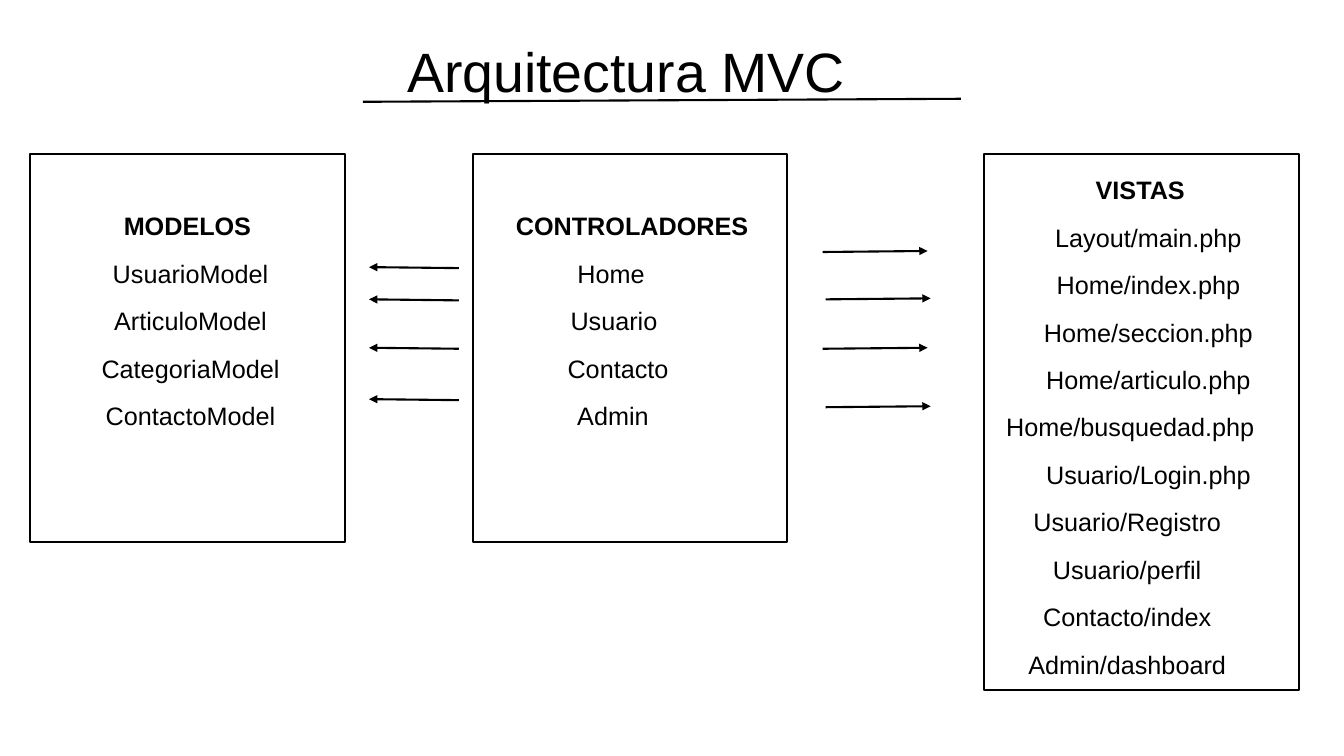
from pptx import Presentation
from pptx.dml.color import RGBColor
from pptx.enum.shapes import MSO_CONNECTOR, MSO_SHAPE
from pptx.enum.text import PP_ALIGN
from pptx.oxml.ns import qn
from pptx.util import Inches, Pt
from lxml.etree import SubElement

# Content: each line is followed by its shift right of the column axis, in inches
TITLE = "Arquitectura MVC"
MODELS = [("MODELOS", 0), ("UsuarioModel", 0.03), ("ArticuloModel", 0.03),
          ("CategoriaModel", 0.03), ("ContactoModel", 0.03)]
CONTROLLERS = [("CONTROLADORES", 0.21), ("Home", 0), ("Usuario", 0.03),
               ("Contacto", 0.07), ("Admin", 0.02)]
VIEWS = [("VISTAS", 0.13), ("Layout/main.php", 0.21), ("Home/index.php", 0.21),
         ("Home/seccion.php", 0.21), ("Home/articulo.php", 0.21),
         ("Home/busquedad.php", 0.03), ("Usuario/Login.php", 0.21),
         ("Usuario/Registro", 0), ("Usuario/perfil", 0),
         ("Contacto/index", 0), ("Admin/dashboard", 0)]

# Layout in inches
WIDTH, HEIGHT = 13.33, 7.5
PANEL_TOP, PANEL_WIDTH, TEXT_WIDTH = 1.53, 3.12, 3.0
# panel left, panel height, text axis, text top, lines
PANELS = [(0.3, 3.85, 1.86, 1.92, MODELS),
          (4.69, 3.85, 6.06, 1.92, CONTROLLERS),
          (9.76, 5.32, 11.18, 1.56, VIEWS)]
# start x, length (negative points left), start y
ARROWS = [(8.16, 1.04, 2.5), (8.19, 1.04, 2.97), (8.16, 1.04, 3.46), (8.19, 1.04, 4.04),
          (4.55, -0.89, 2.66), (4.55, -0.89, 2.98), (4.55, -0.89, 3.46), (4.55, -0.89, 3.97)]
ARROW_RISE = 0.01
INK = "000000"


def color(value):
    return RGBColor.from_string(value)


def style_line(line):
    line.color.rgb = color(INK)
    line.width = Pt(1.5)


def add_line(x1, y1, x2, y2, arrow=False):
    line = slide.shapes.add_connector(MSO_CONNECTOR.STRAIGHT, Inches(x1), Inches(y1),
                                      Inches(x2), Inches(y2))
    style_line(line.line)
    if arrow:
        SubElement(line.line._get_or_add_ln(), qn("a:tailEnd"), type="triangle")
    SubElement(line._element.spPr, qn("a:effectLst"))


def add_text(left, top, width, height):
    frame = slide.shapes.add_textbox(Inches(left), Inches(top),
                                     Inches(width), Inches(height)).text_frame
    frame.word_wrap = True
    frame.margin_left = frame.margin_right = frame.margin_top = frame.margin_bottom = 0
    return frame


def style_font(para, size, bold=False):
    para.font.name = "Arial"
    para.font.size = Pt(size)
    para.font.bold = bold
    para.font.color.rgb = color(INK)


deck = Presentation()
deck.slide_width, deck.slide_height = Inches(WIDTH), Inches(HEIGHT)
slide = deck.slides.add_slide(deck.slide_layouts[6])

# Title and its underline
add_line(3.6, 1.01, 9.53, 0.98)
heading = add_text(4.04, 0.37, 5.5, 0.63).paragraphs[0]
heading.text = TITLE
style_font(heading, 39.6)

# Panels with their lists
for left, height, axis, text_top, lines in PANELS:
    panel = slide.shapes.add_shape(MSO_SHAPE.RECTANGLE, Inches(left), Inches(PANEL_TOP),
                                   Inches(PANEL_WIDTH), Inches(height))
    panel.shadow.inherit = False
    panel.fill.background()
    style_line(panel.line)
    frame = add_text(axis - TEXT_WIDTH / 2, text_top, TEXT_WIDTH, 0.45 * len(lines))
    for index, (text, shift) in enumerate(lines):
        para = frame.add_paragraph() if index else frame.paragraphs[0]
        para.text = text
        para.alignment = PP_ALIGN.CENTER
        para.line_spacing = 1.57
        # A left margin moves centred text by half its size
        para._p.get_or_add_pPr().set("marL", str(Inches(2 * shift)))
        style_font(para, 18, bold=index == 0)

# Arrows from the controllers to the models and views
for x, length, y in ARROWS:
    add_line(x, y, x + length, y - ARROW_RISE, arrow=True)

deck.save("out.pptx")
